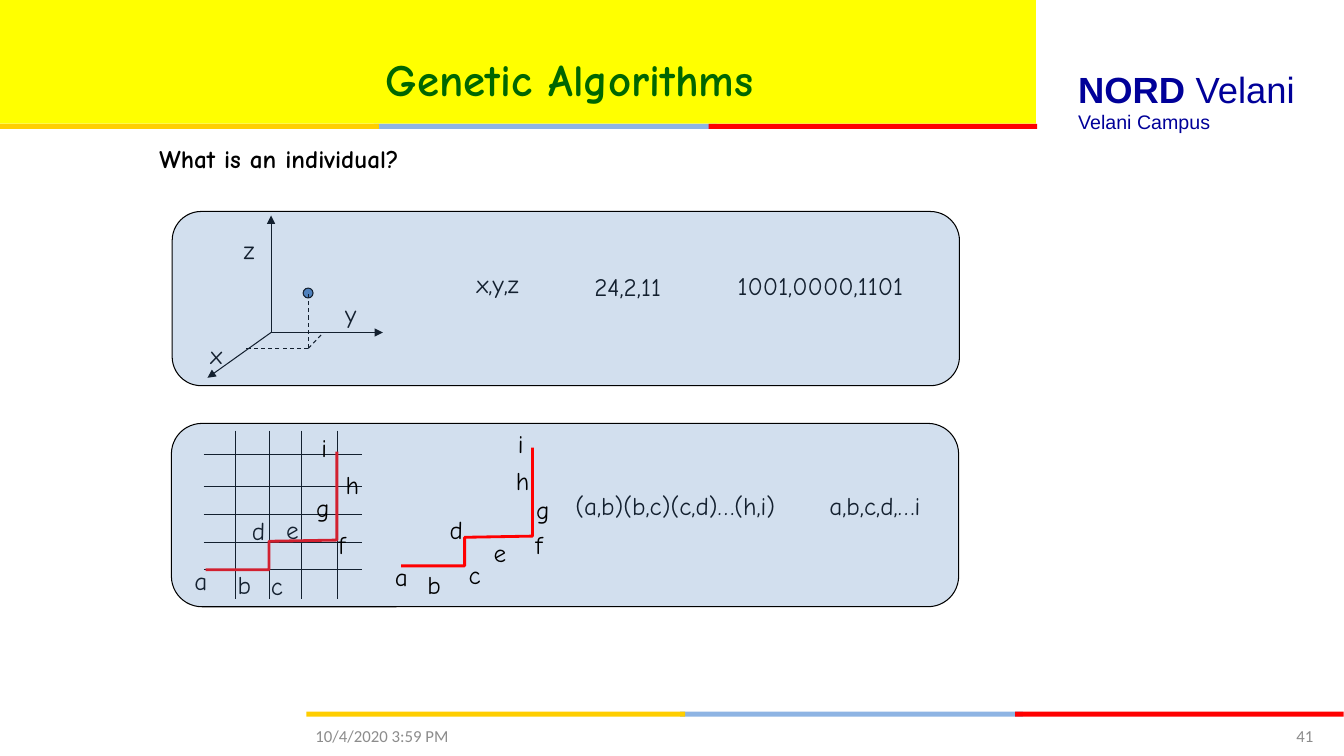
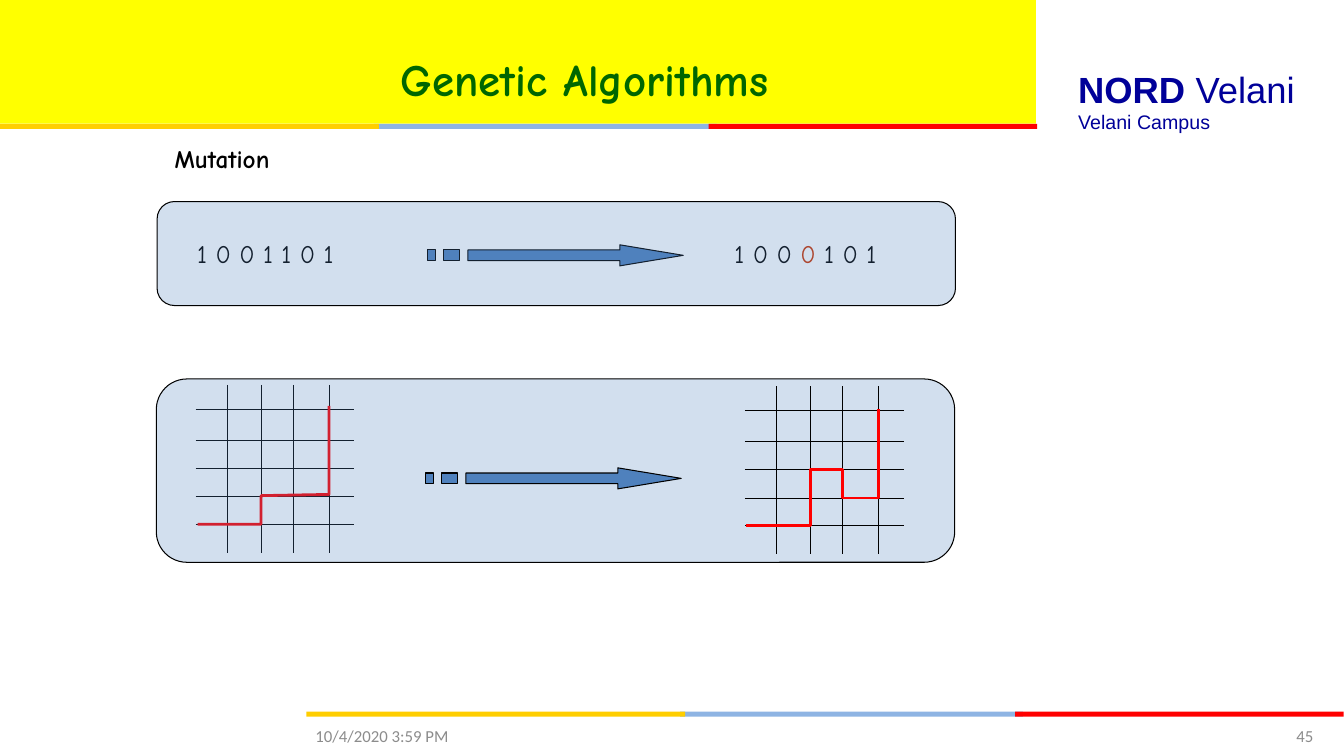
from lxml import etree
from pptx import Presentation
from pptx.dml.color import RGBColor
from pptx.enum.dml import MSO_LINE
from pptx.enum.shapes import MSO_CONNECTOR, MSO_SHAPE
from pptx.enum.text import MSO_ANCHOR, MSO_AUTO_SIZE, PP_ALIGN
from pptx.oxml.ns import qn
from pptx.util import Cm, Pt

STRAIGHT = MSO_CONNECTOR.STRAIGHT
RECTANGLE = MSO_SHAPE.RECTANGLE
ROUNDED = MSO_SHAPE.ROUNDED_RECTANGLE
OVAL = MSO_SHAPE.OVAL
DASH = MSO_LINE.DASH
TOP, MIDDLE = MSO_ANCHOR.TOP, MSO_ANCHOR.MIDDLE
LEFT, CENTER, RIGHT = PP_ALIGN.LEFT, PP_ALIGN.CENTER, PP_ALIGN.RIGHT
NO_AUTOFIT = MSO_AUTO_SIZE.NONE
TITLE_ONLY = 5

COLORS = {
    "banner": "FFFF00",
    "gold": "FFCE00",
    "sky": "8EB4E3",
    "red": "FF0000",
    "brand": "000099",
    "title": "006600",
    "ink": "000000",
    "blue": "4F81BD",
    "mutated": "CC3300",
    "footer": "8C8C8C",
}
HAND_FONT = "Comic Neue"

# All coordinates below are centimetres
STRIPES = [("sky", 9.42, 8.64), ("red", 17.86, 8.28), ("gold", 0, 9.55)]
GRID_ROWS = [0.61, 1.4, 2.11, 2.82, 3.51]
GRID_COLUMNS = [0.81, 1.65, 2.46, 3.38]
GRID_WIDTH, GRID_HEIGHT = 4, 4.24
ROUTE = [(0.05, 3.51), (1.65, 3.51), (1.65, 2.79), (3.36, 2.76), (3.36, 0.53)]
MUTATED_ROUTE = [
    (0.03, GRID_ROWS[4]), (GRID_COLUMNS[1], GRID_ROWS[4]),
    (GRID_COLUMNS[1], GRID_ROWS[2]), (GRID_COLUMNS[2], GRID_ROWS[2]),
    (GRID_COLUMNS[2], GRID_ROWS[3]), (GRID_COLUMNS[3], GRID_ROWS[3]),
    (GRID_COLUMNS[3], 0.58),
]
AXIS_LABELS = [("x", 0.71, 3.1), ("y", 4.11, 2.06), ("z", 1.55, 0.46)]
TINTED_LABELS = [
    ("a", 0.33, 3.45), ("b", 1.42, 3.56), ("c", 2.26, 3.58),
    ("d", 1.78, 2.18), ("e", 2.64, 2.16),
]
PLAIN_LABELS = [
    ("f", 3.96, 2.54), ("g", 3.4, 1.6), ("h", 4.14, 1.02), ("i", 3.53, 0.1),
    ("a", 5.38, 3.35), ("b", 6.2, 3.56), ("c", 7.24, 3.3),
    ("d", 6.76, 2.16), ("e", 7.87, 2.74), ("f", 8.92, 2.54),
    ("g", 8.94, 1.65), ("h", 8.43, 0.94), ("i", 8.48, 0),
]


def rgb(name):
    return RGBColor.from_string(COLORS[name])


# Basic parts
def format_text(shape, text, font=HAND_FONT, size=18, color="ink", bold=False,
                align=LEFT, anchor=TOP, wrap=True):
    """Write text, given as a string or a list of (text, overrides) runs."""
    frame = shape.text_frame
    frame.auto_size = NO_AUTOFIT
    frame.word_wrap = wrap
    frame.vertical_anchor = anchor
    paragraph = frame.paragraphs[0]
    paragraph.alignment = align
    runs = [(text, {})] if isinstance(text, str) else text
    for content, overrides in runs:
        run = paragraph.add_run()
        run.text = content
        run.font.name = font
        run.font.size = Pt(size)
        run.font.bold = overrides.get("bold", bold)
        run.font.color.rgb = rgb(overrides.get("color", color))


def add_text(slide, text, left, top, width, height=1.02, **style):
    shape = slide.shapes.add_textbox(Cm(left), Cm(top), Cm(width), Cm(height))
    format_text(shape, text, **style)


def paint(shape, fill=None, line=None, line_width=0.75):
    shape.shadow.inherit = False
    if fill:
        shape.fill.solid()
        shape.fill.fore_color.rgb = rgb(fill)
    else:
        shape.fill.background()
    if line:
        shape.line.color.rgb = rgb(line)
        shape.line.width = Pt(line_width)
    else:
        shape.line.fill.background()


def add_box(slide, kind, left, top, width, height, fill, line=None):
    shape = slide.shapes.add_shape(kind, Cm(left), Cm(top), Cm(width), Cm(height))
    paint(shape, fill, line)
    return shape


def add_line(slide, start, end, dashed=False, arrow=False):
    line = slide.shapes.add_connector(
        STRAIGHT, *(Cm(value) for value in (*start, *end)))
    line.line.color.rgb = rgb("ink")
    line.line.width = Pt(0.75)
    if dashed:
        line.line.dash_style = DASH
    properties = line._element.spPr
    if arrow:
        etree.SubElement(properties.find(qn("a:ln")), qn("a:tailEnd"), type="triangle")
    etree.SubElement(properties, qn("a:effectLst"))


def add_outline(slide, left, top, contours, closed, **style):
    """Draw one freeform from contours given relative to left and top."""
    contours = [[(Cm(left + x), Cm(top + y)) for x, y in contour]
                for contour in contours]
    builder = slide.shapes.build_freeform(*contours[0][0], scale=1.0)
    for number, contour in enumerate(contours):
        if number:
            builder.move_to(*contour[0])
        builder.add_line_segments(contour[1:], close=closed)
    paint(builder.convert_to_shape(), **style)


# Shared slide frame
def add_stripes(slide, left, top):
    for color, offset, width in STRIPES:
        add_box(slide, RECTANGLE, left + offset, top, width, 0.13, color)


def add_framed_slide(presentation, subtitle, number, left):
    slide = presentation.slides.add_slide(presentation.slide_layouts[TITLE_ONLY])
    title = slide.shapes.title

    # Bands and school name
    add_stripes(slide, 7.72, 17.93)
    add_box(slide, RECTANGLE, 0, 0, 26.11, 3.12, "banner")
    add_stripes(slide, 0, 3.12)
    add_text(slide, [("NORD ", {"bold": True}), ("Velani", {})],
             26.92, 1.57, 6.9, 1.37, font="Arial", size=26, color="brand")
    add_text(slide, "Velani Campus", 26.92, 2.64, 6.07, 0.86,
             font="Arial", size=14, color="brand")

    # Title, raised above the banner, and subtitle
    title.left, title.top = Cm(left), Cm(1.17)
    title.width, title.height = Cm(21.26), Cm(1.6)
    format_text(title, "Genetic Algorithms", size=32, color="title",
                bold=True, align=CENTER)
    slide.shapes._spTree.append(title._element)
    add_text(slide, subtitle, left + 0.04, 3.48, 7.39, bold=True, wrap=False)

    # Footer
    footer = {"font": "Calibri", "size": 12, "color": "footer", "anchor": MIDDLE}
    add_text(slide, "10/4/2020 3:59 PM", 7.7, 18.03, 7.9, **footer)
    add_text(slide, number, 29.64, 18.03, 3.71, align=RIGHT, **footer)
    return slide


# Diagram parts
def add_panel(slide, left, top, width, height):
    """Lay a translucent panel that tints whatever lies beneath it."""
    panel = add_box(slide, ROUNDED, left, top, width, height, "blue", "ink")
    color = panel._element.spPr.find(qn("a:solidFill")).find(qn("a:srgbClr"))
    etree.SubElement(color, qn("a:alpha"), val="25000")


def add_labels(slide, left, top, labels, width):
    for text, x, y in labels:
        add_text(slide, text, left + x, top + y, width)


def add_grid(slide, left, top):
    for y in GRID_ROWS:
        add_line(slide, (left, top + y), (left + GRID_WIDTH, top + y))
    for x in GRID_COLUMNS:
        add_line(slide, (left + x, top), (left + x, top + GRID_HEIGHT))


def add_route(slide, left, top, points):
    add_outline(slide, left, top, [points], False, line="red", line_width=2)


def add_striped_arrow(slide, left, top):
    upper, lower, height = 0.13, 0.4, 0.53
    head, tip = 4.85, 6.45
    arrow = [(head, 0), (head, upper), (1.02, upper), (1.02, lower),
             (head, lower), (head, height), (tip, height / 2)]
    stripes = [[(start, upper), (start, lower), (end, lower), (end, upper)]
               for start, end in [(0.41, 0.81), (0, 0.2)]]
    add_outline(slide, left, top, [arrow, *stripes], True, fill="blue", line="ink")


# Panels
def add_space_panel(slide, left, top, width, height):
    def at(x, y):
        return left + x, top + y

    origin, foot = at(2.49, 3.05), at(3.43, 3.45)
    for tip in [at(2.49, 0.1), at(0.89, 4.19), at(5.31, 3.05)]:
        add_line(slide, origin, tip, arrow=True)
    add_box(slide, OVAL, *at(3.3, 1.93), 0.25, 0.25, "blue", "ink")
    for end in [at(1.85, 3.45), at(3.81, 3.05), at(3.43, 2.01)]:
        add_line(slide, foot, end, dashed=True)
    add_labels(slide, left, top, AXIS_LABELS, 0.97)
    add_text(slide, "x,y,z", *at(7.42, 1.3), 2.26)
    add_text(slide, "24,2,11", *at(10.39, 1.37), 3.51)
    add_text(slide, "1001,0000,1101", *at(14, 1.35), 5.44)
    add_panel(slide, left, top, width, height)


def add_route_panel(slide, left, top, width, height):
    add_grid(slide, left + 0.81, top + 0.18)
    add_route(slide, left + 0.81, top + 0.18, ROUTE)
    add_labels(slide, left, top, TINTED_LABELS, 0.89)
    add_text(slide, "(a,b)(b,c)(c,d)…(h,i)", left + 9.93, top + 1.55, 6.17)
    add_text(slide, "a,b,c,d,…i", left + 16.33, top + 1.57, 3.43)
    add_panel(slide, left, top, width, height)
    add_route(slide, left + 5.74, top + 0.08, ROUTE)
    add_labels(slide, left, top, PLAIN_LABELS, 0.89)


def add_bit_mutation_panel(slide, left, top, width, height):
    add_text(slide, "1 0 0 1 1 0 1", left + 0.76, top + 0.81, 4.24)
    add_text(slide, [("1 0 0 ", {}), ("0", {"color": "mutated"}), (" 1 0 1", {})],
             left + 14.3, top + 0.81, 4.24)
    add_striped_arrow(slide, left + 6.81, top + 1.09)
    add_panel(slide, left, top, width, height)


def add_route_mutation_panel(slide, left, top, width, height):
    add_grid(slide, left + 0.99, top + 0.15)
    add_route(slide, left + 0.99, top + 0.15, ROUTE)
    add_panel(slide, left, top, width, height)
    add_striped_arrow(slide, left + 6.78, top + 2.24)
    add_grid(slide, left + 14.83, top + 0.18)
    add_route(slide, left + 14.83, top + 0.18, MUTATED_ROUTE)


# Slides
def add_individual_slide(presentation):
    slide = add_framed_slide(presentation, "What is an individual?", "41", 3.73)
    add_space_panel(slide, 4.34, 5.33, 19.84, 4.39)
    add_route_panel(slide, 4.32, 10.67, 19.84, 4.62)


def add_mutation_slide(presentation):
    slide = add_framed_slide(presentation, "Mutation", "45", 4.11)
    add_bit_mutation_panel(slide, 3.96, 5.08, 20.12, 2.62)
    add_route_mutation_panel(slide, 3.94, 9.55, 20.12, 4.62)


def main():
    presentation = Presentation()
    presentation.slide_width, presentation.slide_height = Cm(33.87), Cm(19.05)
    add_individual_slide(presentation)
    add_mutation_slide(presentation)
    presentation.save("out.pptx")


if __name__ == "__main__":
    main()
